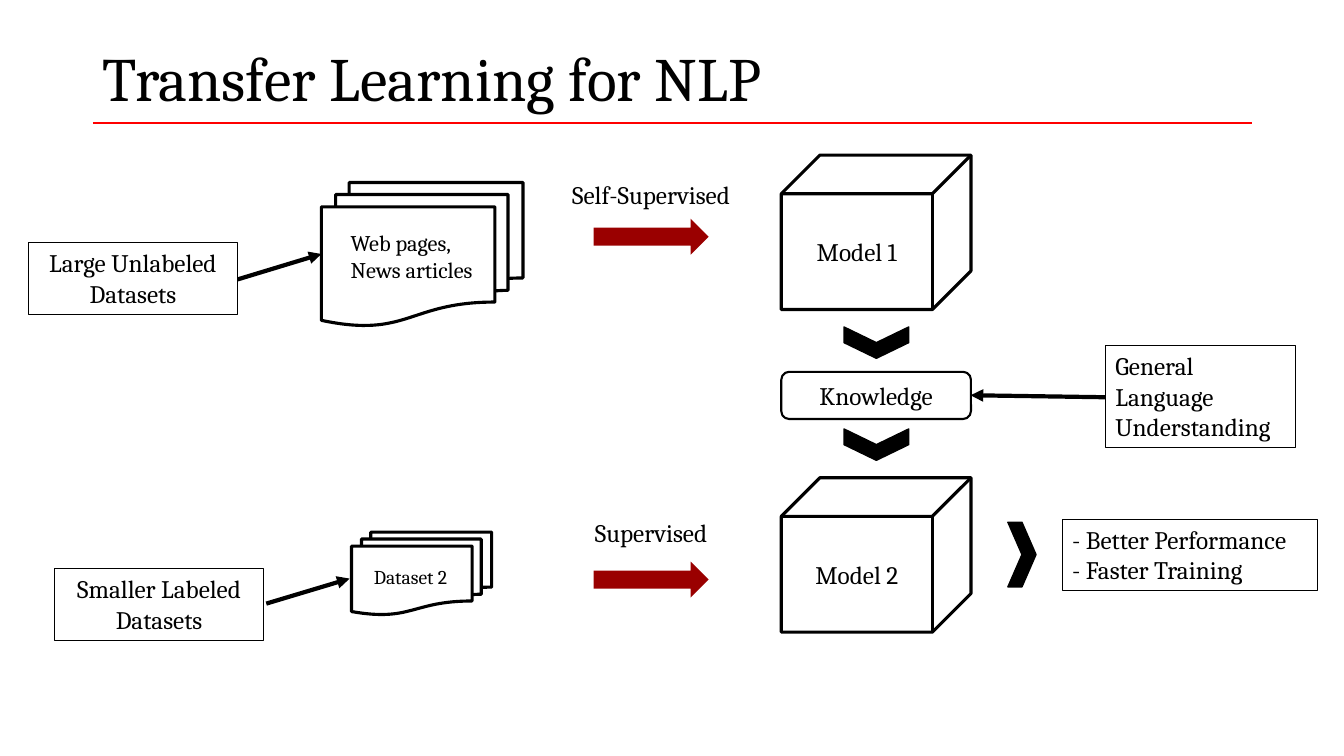
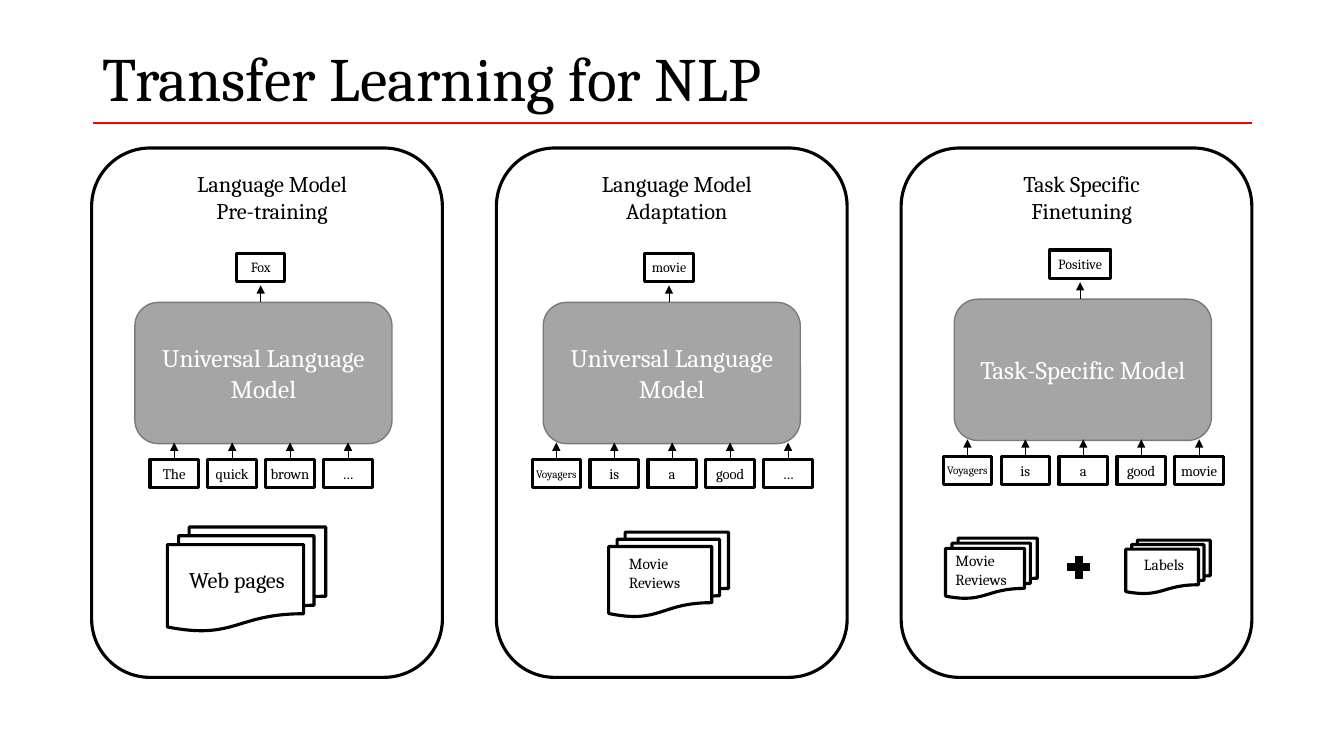
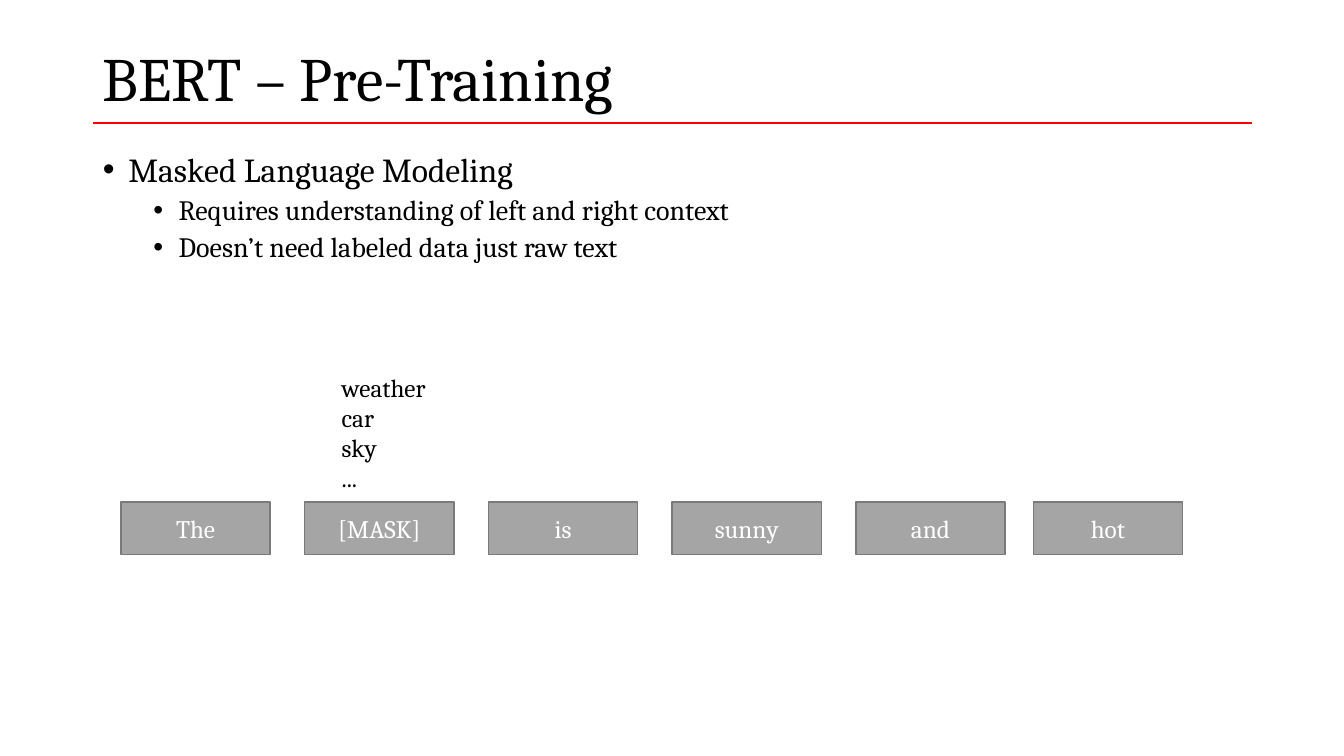
from lxml import etree
from pptx import Presentation
from pptx.dml.color import RGBColor
from pptx.enum.shapes import MSO_CONNECTOR, MSO_SHAPE
from pptx.enum.text import MSO_ANCHOR, MSO_AUTO_SIZE, PP_ALIGN
from pptx.oxml.ns import qn
from pptx.util import Cm, Pt

LEFT, CENTER = PP_ALIGN.LEFT, PP_ALIGN.CENTER
TOP, MIDDLE = MSO_ANCHOR.TOP, MSO_ANCHOR.MIDDLE
RECTANGLE = MSO_SHAPE.RECTANGLE
ROUNDED = MSO_SHAPE.ROUNDED_RECTANGLE
CUBE = MSO_SHAPE.CUBE
CHEVRON = MSO_SHAPE.CHEVRON
RIGHT_ARROW = MSO_SHAPE.RIGHT_ARROW
PLUS = MSO_SHAPE.MATH_PLUS
DOCUMENTS = MSO_SHAPE.FLOWCHART_MULTIDOCUMENT
STRAIGHT = MSO_CONNECTOR.STRAIGHT

FONT = "Cambria"
COLORS = {
    "black": "000000",
    "white": "FFFFFF",
    "rule": "FF0000",
    "arrow": "9A0000",
    "block": "A5A5A5",
    "edge": "7A7A7A",
}
TITLE_ONLY, TITLE_AND_BODY = 5, 1
MARGIN, CONTENT_WIDTH = 2.34, 29.21
RULE_TOP = 3.1


def rgb(name):
    return RGBColor.from_string(COLORS[name])


def cm(*lengths):
    return [Cm(length) for length in lengths]


# Text
def style_font(paragraph, size, color="black"):
    paragraph.font.name = FONT
    paragraph.font.size = Pt(size)
    paragraph.font.color.rgb = rgb(color)


def write(frame, text, size, color="black", align=LEFT, anchor=TOP):
    """Fill a text frame, one paragraph per line of text."""
    frame.word_wrap = True
    frame.vertical_anchor = anchor
    frame.text = text
    for paragraph in frame.paragraphs:
        paragraph.alignment = align
        style_font(paragraph, size, color)


def add_text(shapes, box, text, size, align=LEFT):
    shape = shapes.add_textbox(*cm(*box))
    write(shape.text_frame, text, size, align=align)


# Shapes and lines
def add_shape(shapes, kind, box, fill=None, line="black", width=2.25):
    shape = shapes.add_shape(kind, *cm(*box))
    shape.shadow.inherit = False
    if fill:
        shape.fill.solid()
        shape.fill.fore_color.rgb = rgb(fill)
    else:
        shape.fill.background()
    if line:
        shape.line.color.rgb = rgb(line)
        shape.line.width = Pt(width)
    else:
        shape.line.fill.background()
    return shape


def add_line(shapes, start, end, width, color="black", arrow=True):
    connector = shapes.add_connector(STRAIGHT, *cm(*start, *end))
    connector.line.color.rgb = rgb(color)
    connector.line.width = Pt(width)
    if arrow:
        line = connector.line._get_or_add_ln()
        etree.SubElement(line, qn("a:tailEnd"), type="triangle")
    etree.SubElement(connector.element.spPr, qn("a:effectLst"))
    return connector


def add_block(shapes, kind, box, text):
    """Grey block with white centred text."""
    shape = add_shape(shapes, kind, box, "block", "edge", 1)
    write(shape.text_frame, text, 18, "white", CENTER, MIDDLE)


def add_outlined(shapes, kind, box, text, width, align=CENTER, anchor=MIDDLE):
    """Outlined shape with black text."""
    shape = add_shape(shapes, kind, box, width=width)
    write(shape.text_frame, text, 18, align=align, anchor=anchor)


def add_chevron(shapes, box, rotation=0):
    shape = add_shape(shapes, CHEVRON, box, "black", "black", 1)
    shape.rotation = rotation


def add_documents(shapes, box, label_box, text, size, align=LEFT):
    """Stack of documents grouped with its label."""
    group = shapes.add_group_shape()
    add_shape(group.shapes, DOCUMENTS, box)
    add_text(group.shapes, label_box, text, size, align)


def add_word(shapes, center, top, text, size, width=1.22):
    """Small word box centred on a given x."""
    box = (center - width / 2, top, width, 0.71)
    shape = add_shape(shapes, RECTANGLE, box)
    frame = shape.text_frame
    frame.margin_left = frame.margin_right = 0
    frame.margin_top = frame.margin_bottom = 0
    write(frame, text, size, align=CENTER, anchor=MIDDLE)
    frame.word_wrap = False


# Shared slide parts
def add_slide(presentation, layout, title):
    slide = presentation.slides.add_slide(presentation.slide_layouts[layout])
    shape = slide.shapes.title
    shape.left, shape.top, shape.width, shape.height = cm(
        MARGIN, 1.02, CONTENT_WIDTH, 2.08)
    write(shape.text_frame, title, 44, anchor=MIDDLE)
    shape.text_frame.auto_size = MSO_AUTO_SIZE.NONE
    shape.text_frame.paragraphs[0].line_spacing = 0.9
    return slide


def add_master_rule(presentation, slide):
    """Draw the red title rule and move it to the slide master."""
    rule = add_line(slide.shapes, (MARGIN, RULE_TOP),
                    (MARGIN + CONTENT_WIDTH, RULE_TOP), 1.5, "rule", False)
    rule.element.nvCxnSpPr.cNvPr.set("id", "100")
    presentation.slide_master.element.cSld.spTree.append(rule.element)


def add_bullets(slide, box, items):
    body = slide.placeholders[1]
    body.left, body.top, body.width, body.height = cm(*box)
    frame = body.text_frame
    frame.text = "\n".join(text for level, text in items)
    frame.auto_size = MSO_AUTO_SIZE.NONE
    for index, (level, text) in enumerate(items):
        paragraph = frame.paragraphs[index]
        paragraph.level = level
        properties = paragraph._p.get_or_add_pPr()
        properties.set("marL", str(Cm(0.64 + 1.27 * level)))
        properties.set("indent", str(-Cm(0.64)))
        etree.SubElement(properties, qn("a:buFont"), typeface="Arial")
        etree.SubElement(properties, qn("a:buChar"), char="•")
        paragraph.line_spacing = 0.9
        paragraph.space_before = Pt(5 if index else 0)
        style_font(paragraph, 20 if level else 24)


# Slide 1: from data sets to models
def build_overview(slide):
    shapes = slide.shapes
    add_documents(shapes, (8.1, 4.6, 5.08, 3.61), (8.59, 5.66, 3.81, 1.63),
                  "Web pages, News articles", 16)
    add_documents(shapes, (8.86, 13.41, 3.53, 2.08), (9.17, 14.1, 2.54, 0.86),
                  "Dataset 2", 14)

    # Training steps
    for caption, caption_top, arrow_top in (("Self-Supervised", 4.39, 5.51),
                                            ("Supervised", 12.9, 14.15)):
        add_text(shapes, (13.68, caption_top, 5.46, 1.02), caption, 18, CENTER)
        add_shape(shapes, RIGHT_ARROW, (14.96, arrow_top, 2.9, 0.91),
                  "arrow", None)

    # Models and the knowledge passed between them
    for model, top in (("Model 1", 3.91), ("Model 2", 12.04)):
        add_outlined(shapes, CUBE, (19.69, top, 4.78, 3.89), model, 2.25)
    add_outlined(shapes, ROUNDED, (19.69, 9.37, 4.78, 1.19), "Knowledge", 1.5)
    for top in (7.82, 10.39):
        add_chevron(shapes, (21.69, top, 0.79, 1.63), 90)
    add_chevron(shapes, (25.4, 13.16, 0.71, 1.63))

    # Remarks
    for box, text, align in (
            ((0.71, 6.12, 5.28, 1.8), "Large Unlabeled Datasets", CENTER),
            ((1.37, 14.33, 5.28, 1.8), "Smaller Labeled Datasets", CENTER),
            ((26.77, 13.08, 6.43, 1.8),
             "- Better Performance\n- Faster Training", LEFT),
            ((27.86, 8.71, 4.78, 2.57),
             "General Language Understanding", LEFT)):
        add_outlined(shapes, RECTANGLE, box, text, 0.75, align, TOP)
    for start, end in (((5.99, 7.04), (8.1, 6.4)),
                       ((6.71, 15.21), (8.81, 14.58)),
                       ((27.86, 10.01), (24.46, 9.96))):
        add_line(shapes, start, end, 3)


# Slide 2: three training stages
def add_stage_panel(shapes, left, heading):
    add_shape(shapes, ROUNDED, (left, 3.73, 8.84, 13.34))
    add_text(shapes, (left - 0.4, 4.17, 9.9, 1.63), heading, 16, CENTER)


def add_model(shapes, left, top, name, words, words_left, output, output_width):
    """Model block with its input words below and its output above."""
    add_block(shapes, ROUNDED, (left, top, 6.48, 3.56), name)
    words_top = top + 3.96
    for index, word in enumerate(words):
        center = words_left + 0.61 + 1.46 * index
        size = 8 if len(word) > 6 else 10.5
        add_word(shapes, center, words_top, word, size)
        add_line(shapes, (center, words_top), (center, words_top - 0.43), 0.5)
    center = left + 3.17
    add_word(shapes, center, top - 1.24, output, 10, output_width)
    add_line(shapes, (center, top), (center, top - 0.43), 0.5)


def build_stages(slide):
    shapes = slide.shapes
    headings = ("Language Model\nPre-training", "Language Model\nAdaptation",
                "Task Specific\nFinetuning")
    for index, heading in enumerate(headings):
        add_stage_panel(shapes, 2.31 + 10.2 * index, heading)

    add_model(shapes, 3.4, 7.62, "Universal Language Model",
              ("The", "quick", "brown", "…"), 3.78, "Fox", 1.22)
    add_model(shapes, 13.69, 7.62, "Universal Language Model",
              ("Voyagers", "is", "a", "good", "…"), 13.41, "movie", 1.22)
    add_model(shapes, 24.05, 7.54, "Task-Specific Model",
              ("Voyagers", "is", "a", "good", "movie"), 23.77,
              "Positive", 1.55)

    # Training data
    add_documents(shapes, (4.22, 13.28, 3.99, 2.62), (4.27, 14.15, 3.4, 0.94),
                  "Web pages", 16, CENTER)
    add_documents(shapes, (15.34, 13.41, 3.02, 2.13),
                  (15.6, 13.84, 3.02, 1.19), "Movie\nReviews", 11)
    add_documents(shapes, (23.83, 13.56, 2.31, 1.52),
                  (23.83, 13.77, 2.31, 1.09), "Movie Reviews", 11)
    add_documents(shapes, (28.37, 13.61, 2.13, 1.35),
                  (28.58, 13.87, 2.13, 0.74), "Labels", 11)
    add_shape(shapes, PLUS, (26.82, 13.92, 0.74, 0.74), "black", "black", 1)


# Slide 3: masked sentence
def build_masking(slide):
    add_bullets(slide, (MARGIN, 3.73, CONTENT_WIDTH, 4.55), (
        (0, "Masked Language Modeling"),
        (1, "Requires understanding of left and right context"),
        (1, "Doesn’t need labeled data just raw text"),
    ))
    lefts = [3.05 + 4.63 * index for index in range(5)] + [26.04]
    words = ("The", "[MASK]", "is", "sunny", "and", "hot")
    for left, word in zip(lefts, words):
        add_block(slide.shapes, RECTANGLE, (left, 12.65, 3.76, 1.32), word)
    add_text(slide.shapes, (8.36, 9.25, 3.76, 3.33),
             "weather\ncar\nsky\n...", 18)


def main():
    presentation = Presentation()
    presentation.slide_width, presentation.slide_height = cm(33.87, 19.05)

    overview = add_slide(presentation, TITLE_ONLY, "Transfer Learning for NLP")
    add_master_rule(presentation, overview)
    build_overview(overview)
    build_stages(
        add_slide(presentation, TITLE_ONLY, "Transfer Learning for NLP"))
    build_masking(
        add_slide(presentation, TITLE_AND_BODY, "BERT – Pre-Training"))

    presentation.save("out.pptx")


if __name__ == "__main__":
    main()
